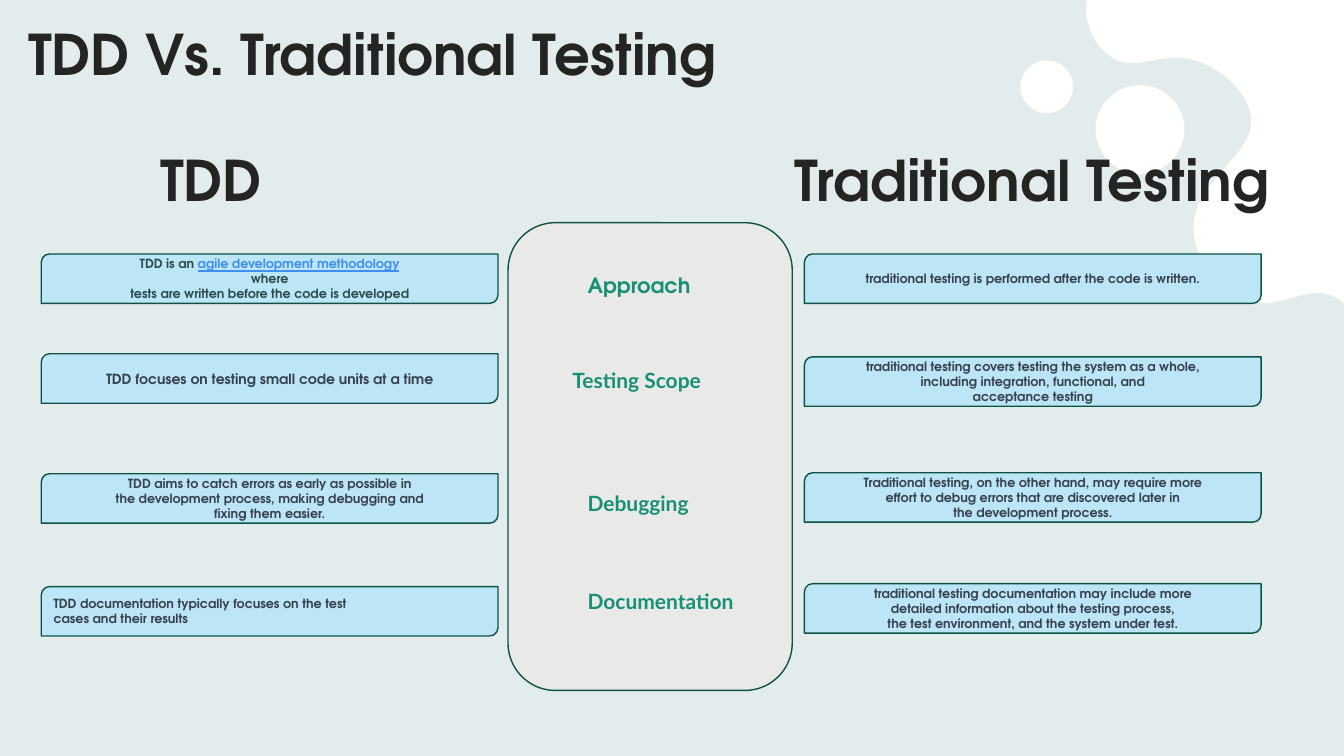
from pptx import Presentation
from pptx.dml.color import RGBColor
from pptx.enum import shapes, text
from pptx.util import Pt

BACKGROUND = RGBColor(0xE3, 0xEC, 0xEC)
WHITE = RGBColor(0xFF, 0xFF, 0xFF)
HEADING = RGBColor(0x24, 0x24, 0x24)
PANEL = RGBColor(0xE9, 0xE9, 0xE9)
CARD = RGBColor(0xBC, 0xE6, 0xF5)
OUTLINE = RGBColor(0x0D, 0x53, 0x44)
TOPIC = RGBColor(0x17, 0x90, 0x76)
BODY = RGBColor(0x37, 0x41, 0x51)
TEAL = RGBColor(0x2A, 0x4D, 0x4D)
LINK = RGBColor(0x3E, 0x8F, 0xF1)

ADVENTOR = "TeX Gyre Adventor"
LATO = "Lato"
LEFT, CENTER = text.PP_ALIGN.LEFT, text.PP_ALIGN.CENTER
TOP, MIDDLE = text.MSO_ANCHOR.TOP, text.MSO_ANCHOR.MIDDLE
CARD_SIZE = (326.2, 35.3)

# Each card: top, lines, format. A line is a string or a list of (text, format) runs.
TDD_CARDS = [
    (181.4, [[("TDD is an ", {}),
              ("agile development methodology", {"color": LINK, "underline": True})],
             "where",
             "tests are written before the code is developed"], {"color": TEAL}),
    (252.7, ["TDD focuses on testing small code units at a time"], {"size": 10}),
    (338.4, ["TDD aims to catch errors as early as possible in",
             "the development process, making debugging and",
             "fixing them easier."], {}),
    (419, ["TDD documentation typically focuses on the test",
           "cases and their results"], {"align": LEFT}),
]
TRADITIONAL_CARDS = [
    (181.4, ["traditional testing is performed after the code is written."], {}),
    (254.9, ["traditional testing covers testing the system as a whole,",
             "including integration, functional, and",
             "acceptance testing"], {}),
    (337.7, ["Traditional testing, on the other hand, may require more",
             "effort to debug errors that are discovered later in",
             "the development process."], {}),
    (416.9, ["traditional testing documentation may include more",
             "detailed information about the testing process,",
             "the test environment, and the system under test."], {}),
]
# Each topic: text, offset from the panel's corner, width, font.
TOPICS = [
    ("Approach", 49.7, 31.7, 104.4, ADVENTOR),
    ("Testing Scope", 38.9, 100.1, 124.6, LATO),
    ("Debugging", 49.7, 187.9, 104.4, LATO),
    ("Documentation", 49.7, 257.8, 132.5, LATO),
]

BLOB_START = (776.2, 1.4)
BLOB_CORNERS = [(776.2, 0), (960, 0), (960, 216.7), (955.4, 213.1)]
BLOB_CURVES = [
    ((933.1, 200.2), (912.2, 225.4), (885.6, 213.1)),
    ((867.6, 205.2), (853.2, 184.3), (852.5, 164.2)),
    ((851.8, 126.7), (897.8, 112.3), (893.5, 82.1)),
    ((889.9, 63.4), (870.5, 49), (856.1, 43.9)),
    ((828.7, 34.6), (812.9, 52.6), (794.2, 41)),
    ((781.9, 33.1), (774, 16.6), BLOB_START),
]


def write(frame, lines, size=9, font=ADVENTOR, color=BODY, align=LEFT, anchor=TOP):
    frame.word_wrap = True
    frame.vertical_anchor = anchor
    for index, line in enumerate(lines):
        paragraph = frame.add_paragraph() if index else frame.paragraphs[0]
        paragraph.alignment = align
        runs = [(line, {})] if isinstance(line, str) else line
        for words, special in runs:
            run = paragraph.add_run()
            run.text = words
            run.font.name = font
            run.font.size = Pt(size)
            run.font.bold = True
            run.font.underline = special.get("underline")
            run.font.color.rgb = special.get("color", color)


def paint(shape, fill, line=None):
    shape.shadow.inherit = False
    shape.fill.solid()
    shape.fill.fore_color.rgb = fill
    if line is None:
        shape.line.fill.background()
    else:
        shape.line.color.rgb = line
        shape.line.width = Pt(1)


def add_box(slide, kind, box, fill, line=None):
    shape = slide.shapes.add_shape(kind, *map(Pt, box))
    paint(shape, fill, line)
    return shape


def add_label(slide, words, box, **style):
    frame = slide.shapes.add_textbox(*map(Pt, box)).text_frame
    frame.auto_size = text.MSO_AUTO_SIZE.SHAPE_TO_FIT_TEXT
    write(frame, [words], **style)


def curve_points(start, first, second, end, steps=24):
    """Return points along a cubic curve, without its start."""
    points = []
    for step in range(1, steps + 1):
        t = step / steps
        weights = ((1 - t) ** 3, 3 * t * (1 - t) ** 2, 3 * t * t * (1 - t), t ** 3)
        corners = (start, first, second, end)
        points.append(tuple(sum(w * corner[axis] for w, corner in zip(weights, corners))
                            for axis in (0, 1)))
    return points


def add_decoration(slide):
    points = list(BLOB_CORNERS)
    for curve in BLOB_CURVES:
        points += curve_points(points[-1], *curve)
    builder = slide.shapes.build_freeform(*map(Pt, BLOB_START))
    builder.add_line_segments([(Pt(x), Pt(y)) for x, y in points], close=True)
    paint(builder.convert_to_shape(), WHITE)
    for center_x, center_y, radius in [(814.3, 92.5, 31.7), (747.7, 62, 18.8)]:
        box = (center_x - radius, center_y - radius, 2 * radius, 2 * radius)
        add_box(slide, shapes.MSO_SHAPE.OVAL, box, WHITE)


def add_title(slide, box):
    title = slide.shapes.title
    title.left, title.top, title.width, title.height = map(Pt, box)
    title.text_frame.auto_size = text.MSO_AUTO_SIZE.NONE
    write(title.text_frame, ["TDD Vs. Traditional Testing"], size=40, color=HEADING)


def add_topics(slide, box):
    add_box(slide, shapes.MSO_SHAPE.ROUNDED_RECTANGLE, box, PANEL, OUTLINE)
    for words, x, y, width, font in TOPICS:
        add_label(slide, words, (box[0] + x, box[1] + y, width, 25.2),
                  size=15, font=font, color=TOPIC)


def add_column(slide, left, heading, heading_box, cards):
    add_label(slide, heading, heading_box, size=40, color=HEADING)
    for top, lines, style in cards:
        card = add_box(slide, shapes.MSO_SHAPE.ROUND_2_DIAG_RECTANGLE,
                       (left, top, *CARD_SIZE), CARD, OUTLINE)
        write(card.text_frame, lines, **{"align": CENTER, "anchor": MIDDLE, **style})


def main():
    presentation = Presentation()
    presentation.slide_width, presentation.slide_height = Pt(960), Pt(540)
    slide = presentation.slides.add_slide(presentation.slide_layouts[5])
    slide.background.fill.solid()
    slide.background.fill.fore_color.rgb = BACKGROUND
    add_title(slide, (13, 10, 645.8, 106.6))
    add_decoration(slide)
    add_topics(slide, (362.9, 159.1, 203, 334.1))
    add_column(slide, 29.5, "TDD", (107.3, 100.1, 157.7, 55.4), TDD_CARDS)
    add_column(slide, 574.6, "Traditional Testing", (560.2, 100.1, 376.6, 55.4),
               TRADITIONAL_CARDS)
    presentation.save("out.pptx")


if __name__ == "__main__":
    main()
